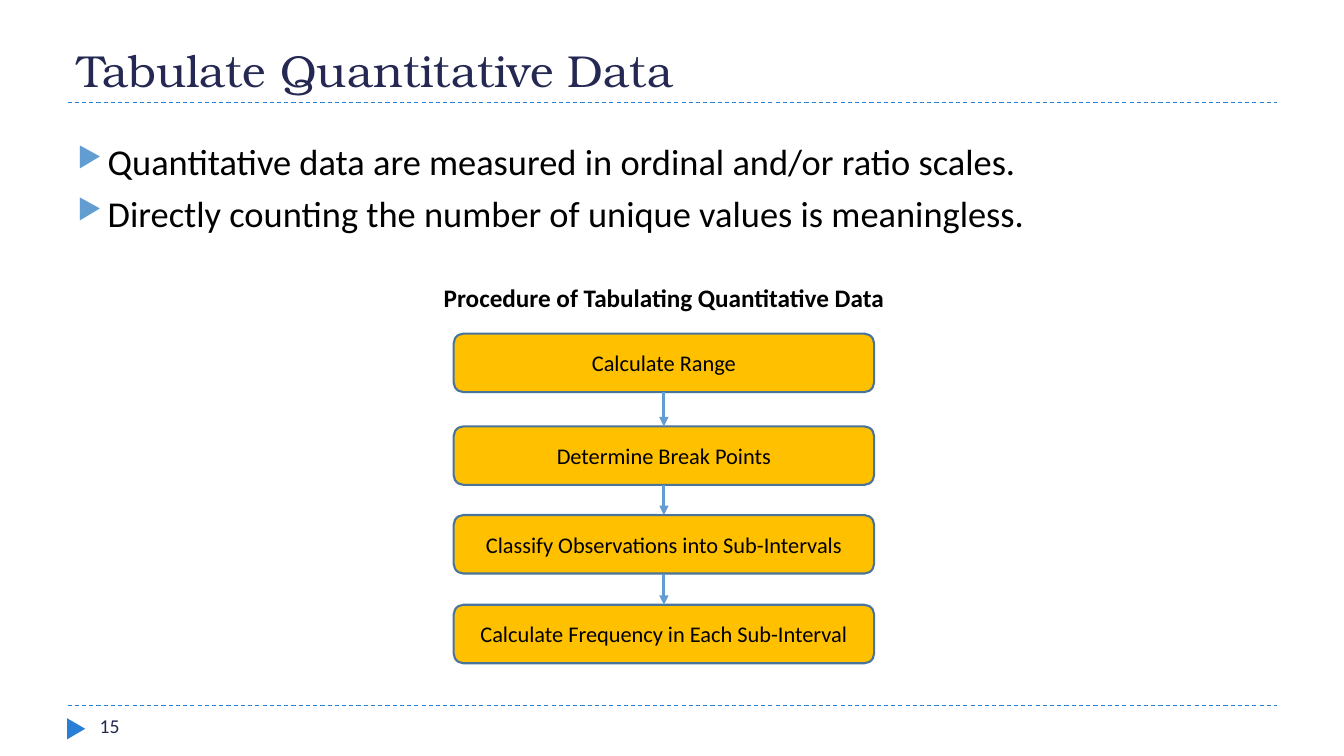
from lxml import etree
from pptx import Presentation
from pptx.dml.color import RGBColor
from pptx.enum.dml import MSO_LINE_DASH_STYLE as DASH
from pptx.enum.shapes import MSO_CONNECTOR as CONN, MSO_SHAPE as SHAPE
from pptx.enum.text import MSO_ANCHOR as ANCHOR, MSO_AUTO_SIZE as AUTO, PP_ALIGN as ALIGN
from pptx.oxml.ns import qn
from pptx.util import Inches, Pt

COLORS = {"navy": "242852", "rule": "297FD5", "accent": "629DD1",
          "step": "FFC000", "step_line": "49749B", "text": "000000"}
BODY_FONT, TITLE_FONT = "Calibri", "TeX Gyre Bonum"
BULLETS = ["Quantitative data are measured in ordinal and/or ratio scales.",
           "Directly counting the number of unique values is meaningless."]
# Each step with its offset from the top of the flowchart
STEPS = [("Calculate Range", 0), ("Determine Break Points", 0.92),
         ("Classify Observations into Sub-Intervals", 1.8),
         ("Calculate Frequency in Each Sub-Interval", 2.69)]


def rgb(name):
    return RGBColor.from_string(COLORS[name])


def write(p, text, color="text", **fmt):
    r = p.add_run()
    r.text = text
    for name, value in {"name": BODY_FONT, **fmt}.items():
        setattr(r.font, name, value)
    r.font.color.rgb = rgb(color)


def add_box(s, x, y, w, h):
    tf = s.shapes.add_textbox(Inches(x), Inches(y), Inches(w), Inches(h)).text_frame
    tf.word_wrap = True
    return tf


def add_line(s, x1, y1, x2, y2, color, width):
    line = s.shapes.add_connector(CONN.STRAIGHT, Inches(x1), Inches(y1), Inches(x2), Inches(y2))
    line.line.color.rgb = rgb(color)
    line.line.width = Pt(width)
    etree.SubElement(line._element.spPr, qn("a:effectLst"))
    return line


def add_shape(s, kind, x, y, w, h, fill):
    sp = s.shapes.add_shape(kind, Inches(x), Inches(y), Inches(w), Inches(h))
    sp.shadow.inherit = False
    sp.fill.solid()
    sp.fill.fore_color.rgb = rgb(fill)
    return sp


def add_rule(s, x, y, w):
    add_line(s, x, y, x + w, y, "rule", 0.75).line.dash_style = DASH.DASH


def add_title(s, x, y, w, h, text):
    sp = s.shapes.title
    sp.left, sp.top, sp.width, sp.height = map(Inches, (x, y, w, h))
    tf = sp.text_frame
    tf.vertical_anchor = ANCHOR.BOTTOM
    tf.auto_size = AUTO.NONE
    p = tf.paragraphs[0]
    p.alignment = ALIGN.LEFT
    write(p, text, "navy", name=TITLE_FONT, size=Pt(32))
    add_rule(s, x, y + h + 0.01, w)


def add_bullets(s, x, y, w, h, items):
    tf = add_box(s, x, y, w, h)
    for i, item in enumerate(items):
        p = tf.add_paragraph() if i else tf.paragraphs[0]
        p.space_before = Pt(6)
        pPr = p._p.get_or_add_pPr()
        pPr.set("marL", str(Inches(0.3)))
        pPr.set("indent", str(Inches(-0.3)))
        bullet_color = etree.SubElement(pPr, qn("a:buClr"))
        etree.SubElement(bullet_color, qn("a:srgbClr"), val=COLORS["accent"])
        etree.SubElement(pPr, qn("a:buSzPct"), val="76000")
        etree.SubElement(pPr, qn("a:buChar"), char="▶")
        write(p, item, size=Pt(26))


def add_flowchart(s, x, y, w, step_h, steps):
    # Heading, wider than the steps
    p = add_box(s, x - 0.5, y - 0.56, w + 1, 0.42).paragraphs[0]
    p.alignment = ALIGN.CENTER
    write(p, "Procedure of Tabulating Quantitative Data", size=Pt(18), bold=True)

    # Steps
    boxes = []
    for text, offset in steps:
        sp = add_shape(s, SHAPE.ROUNDED_RECTANGLE, x, y + offset, w, step_h, "step")
        sp.line.color.rgb = rgb("step_line")
        sp.line.width = Pt(1.5)
        tf = sp.text_frame
        tf.word_wrap = True
        tf.vertical_anchor = ANCHOR.MIDDLE
        p = tf.paragraphs[0]
        p.alignment = ALIGN.CENTER
        write(p, text, size=Pt(16))
        boxes.append(sp)

    # Arrows from each step to the next
    for above, below in zip(boxes, boxes[1:]):
        arrow = add_line(s, x, y, x, y, "accent", 2.25)
        arrow.begin_connect(above, 2)
        arrow.end_connect(below, 0)
        etree.SubElement(arrow.line._get_or_add_ln(), qn("a:tailEnd"), type="triangle")


def add_footer(s, x, y, w, number):
    add_rule(s, x, y, w)
    marker = add_shape(s, SHAPE.ISOSCELES_TRIANGLE, x - 0.02, y + 0.14, 0.21, 0.18, "rule")
    marker.rotation = 90
    marker.line.fill.background()
    tf = add_box(s, x + 0.22, y + 0.03, 2.89, 0.32)
    write(tf.paragraphs[0], number, "navy", size=Pt(14))


def main():
    prs = Presentation()
    prs.slide_width, prs.slide_height = Inches(13.33), Inches(7.5)
    s = prs.slides.add_slide(prs.slide_layouts[5])
    add_title(s, 0.67, 0.17, 12, 0.84, "Tabulate Quantitative Data")
    add_bullets(s, 0.67, 1.33, 12, 1.33, BULLETS)
    add_flowchart(s, 4.5, 3.31, 4.17, 0.58, STEPS)
    add_footer(s, 0.67, 7, 12, "15")
    prs.save("out.pptx")


if __name__ == "__main__":
    main()
